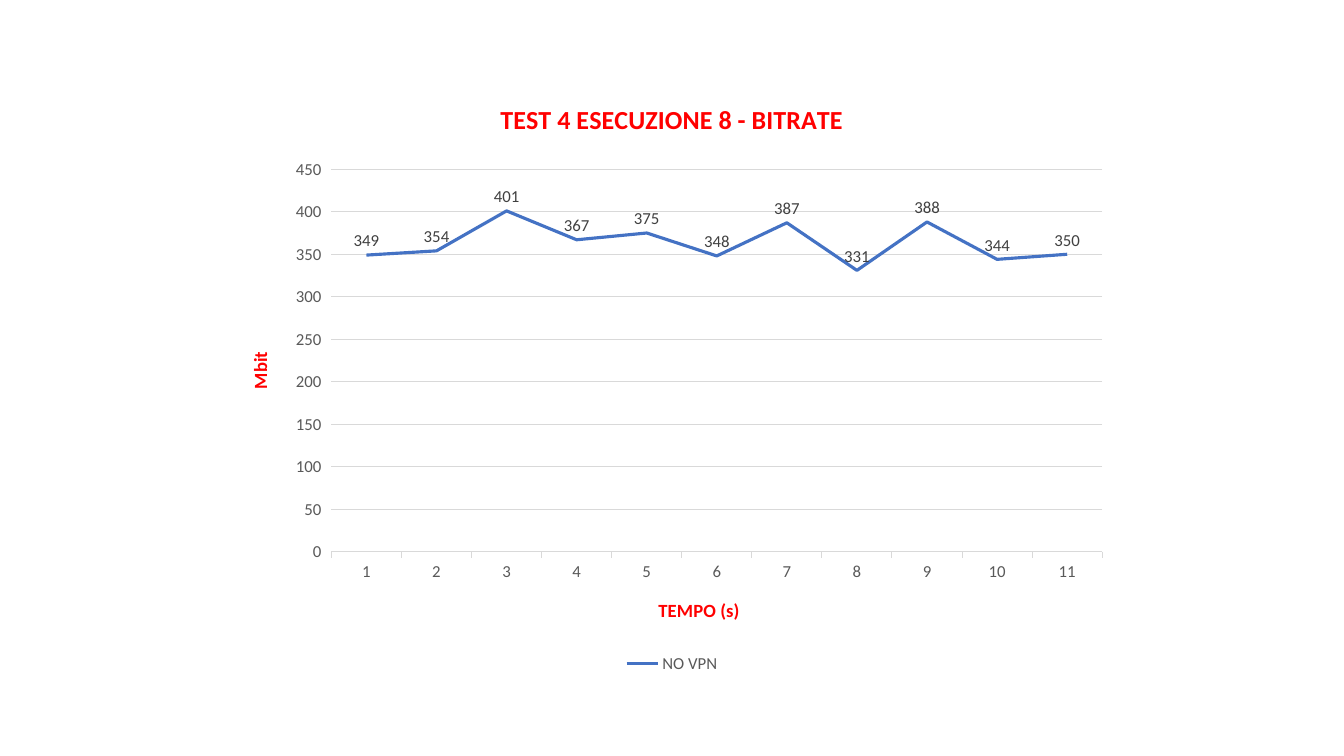
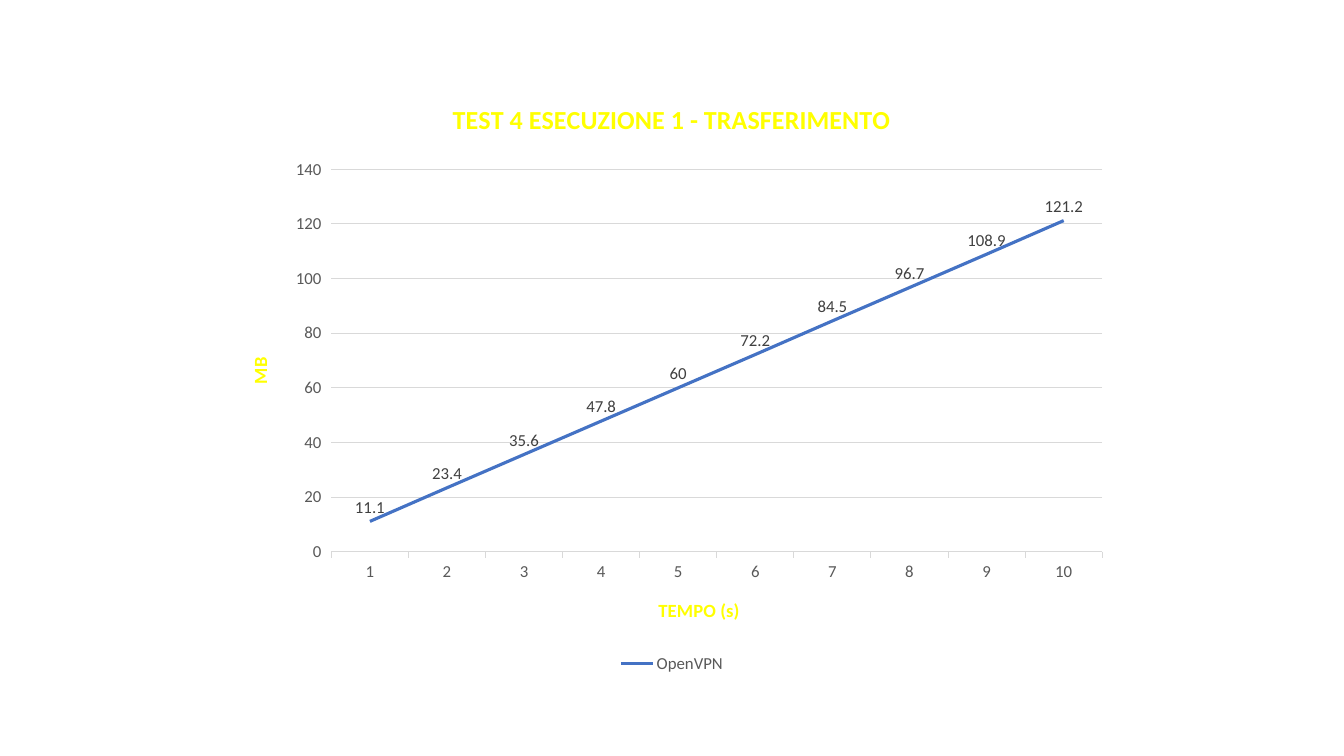
from dataclasses import dataclass

from pptx import Presentation
from pptx import util as u
from pptx.chart.data import CategoryChartData
from pptx.dml.color import RGBColor
from pptx.enum import chart as ch
from pptx.oxml import parse_xml
from pptx.oxml.ns import nsdecls


@dataclass(frozen=True)
class Theme:
    font: str = "Calibri"
    line: str = "4472C4"
    grid: str = "D9D9D9"
    axis_text: str = "595959"
    label_text: str = "404040"
    red: str = "FF0000"
    yellow: str = "FFFF00"
    title_size: float = 18.6
    axis_title_size: float = 13.3
    text_size: float = 12


theme = Theme()


def style_font(font, size, color, bold=False):
    values = {"name": theme.font, "size": u.Pt(size), "bold": bold}
    for attribute, value in values.items():
        setattr(font, attribute, value)
    font.color.rgb = RGBColor.from_string(color)


def style_line(line, color, width):
    line.color.rgb = RGBColor.from_string(color)
    line.width = u.Pt(width)


# Test runs, one per slide
test_runs = [
    {
        "title": "TEST 4 ESECUZIONE 8 - BITRATE",
        "unit": "Mbit",
        "accent": theme.red,
        "network": "NO VPN",
        "values": [349, 354, 401, 367, 375, 348, 387, 331, 388, 344, 350],
        "top": 450,
        "step": 50,
    },
    {
        "title": "TEST 4 ESECUZIONE 1 - TRASFERIMENTO",
        "unit": "MB",
        "accent": theme.yellow,
        "network": "OpenVPN",
        "values": [11.1, 23.4, 35.6, 47.8, 60, 72.2, 84.5, 96.7, 108.9, 121.2],
        "top": 140,
        "step": 20,
    },
]

# Inner plot area as fractions of the chart frame
plot_area = {"x": 0.12, "y": 0.15, "w": 0.86, "h": 0.64}

prs = Presentation()
prs.slide_width, prs.slide_height = u.Inches(13.33), u.Inches(7.5)
blank_layout = prs.slide_layouts[6]

for run in test_runs:
    slide = prs.slides.add_slide(blank_layout)

    # Measurements per second
    measurements = CategoryChartData(number_format="General")
    measurements.categories = [str(i + 1) for i in range(len(run["values"]))]
    measurements.add_series(run["network"], run["values"])
    chart = slide.shapes.add_chart(
        ch.XL_CHART_TYPE.LINE,
        u.Inches(2.22), u.Inches(0.79), u.Inches(8.89), u.Inches(5.93),
        measurements,
    ).chart
    style_font(chart.font, theme.text_size, theme.axis_text)

    # Chart and axis titles
    time_axis, value_axis = chart.category_axis, chart.value_axis
    headings = [
        (chart, run["title"], theme.title_size),
        (time_axis, "TEMPO (s)", theme.axis_title_size),
        (value_axis, run["unit"], theme.axis_title_size),
    ]
    for owner, wording, size in headings:
        owner.has_title = True
        title = owner.chart_title if owner is chart else owner.axis_title
        title.text_frame.text = wording
        words = title.text_frame.paragraphs[0].runs[0]
        style_font(words.font, size, run["accent"], bold=True)
    chart.chart_title.include_in_layout = False

    # Axes and grid
    for axis in (time_axis, value_axis):
        axis.major_tick_mark = ch.XL_TICK_MARK.OUTSIDE
        style_font(axis.tick_labels.font, theme.text_size, theme.axis_text)
    style_line(time_axis.format.line, theme.grid, 0.75)
    value_axis.format.line.fill.background()
    value_axis.has_major_gridlines = True
    style_line(value_axis.major_gridlines.format.line, theme.grid, 0.75)
    scale = {"minimum_scale": 0, "maximum_scale": run["top"], "major_unit": run["step"]}
    for attribute, value in scale.items():
        setattr(value_axis, attribute, value)

    # Measured line and its labels
    plot = chart.plots[0]
    plot.vary_by_categories = False
    series = plot.series[0]
    series.smooth = False
    series.marker.style = ch.XL_MARKER_STYLE.NONE
    style_line(series.format.line, theme.line, 2.25)
    labels = series.data_labels
    labels.show_value = True
    labels.position = ch.XL_LABEL_POSITION.ABOVE
    style_font(labels.font, theme.text_size, theme.label_text)

    # Legend
    chart.has_legend = True
    chart.legend.position = ch.XL_LEGEND_POSITION.BOTTOM
    chart.legend.include_in_layout = False
    style_font(chart.legend.font, theme.text_size, theme.axis_text)

    # Plot position
    modes = '<c:xMode val="edge"/><c:yMode val="edge"/>'
    fractions = "".join(f'<c:{key} val="{value}"/>' for key, value in plot_area.items())
    layout = parse_xml(
        f'<c:layout {nsdecls("c")}><c:manualLayout><c:layoutTarget val="inner"/>'
        f"{modes}{fractions}</c:manualLayout></c:layout>"
    )
    area = chart.element.chart.plotArea
    for old_layout in area.findall(layout.tag):
        area.remove(old_layout)
    area.insert(0, layout)

prs.save("out.pptx")
